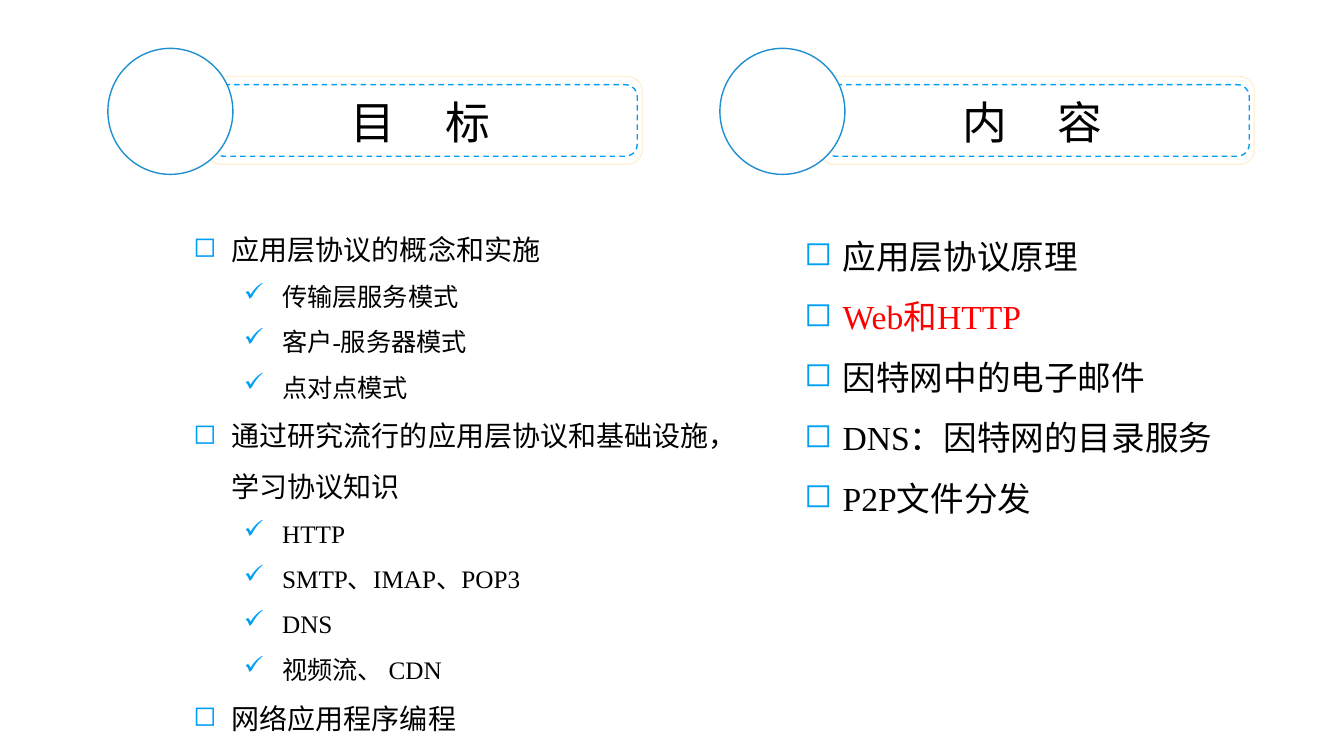
"""Build the slide that sets out the chapter's goals and contents."""
from dataclasses import dataclass

from lxml.etree import SubElement
from pptx import Presentation
from pptx.dml.color import RGBColor
from pptx.enum.dml import MSO_LINE_DASH_STYLE as Dash
from pptx.enum.shapes import MSO_SHAPE as Preset
from pptx.enum.text import PP_ALIGN as Align
from pptx.oxml.ns import qn
from pptx.shapes.autoshape import Shape
from pptx.slide import Slide
from pptx.text.text import TextFrame
from pptx.util import Inches, Pt

COLORS = {
    "text": "000000",
    "highlight": "FF0000",
    "bullet": "009FF6",
    "frame": "FEF1D6",
    "dash": "009FF6",
    "circle": "1F8FD0",
    "white": "FFFFFF",
}
HEADING_FONT = "Noto Sans CJK SC"
BODY_FONT = "Times New Roman"
BULLETS = ("◻", "✓")
LEVEL_MARGINS = (0.38, 0.88)
HANGING = 0.38
HEADING_TRACKING = 14.5


@dataclass(frozen=True)
class Item:
    text: str
    size: int
    level: int = 0
    color: str = "text"


@dataclass(frozen=True)
class Column:
    heading: str
    left: float
    list_left: float
    list_width: float
    list_height: float
    items: tuple[Item, ...]


COLUMNS = (
    Column("目标", 1.07, 1.82, 5.7, 5.33, (
        Item("应用层协议的概念和实施", 20),
        Item("传输层服务模式", 18, 1),
        Item("客户-服务器模式", 18, 1),
        Item("点对点模式", 18, 1),
        Item("通过研究流行的应用层协议和基础设施，学习协议知识", 20),
        Item("HTTP", 18, 1),
        Item("SMTP、IMAP、POP3", 18, 1),
        Item("DNS", 18, 1),
        Item("视频流、 CDN", 18, 1),
        Item("网络应用程序编程", 20),
    )),
    Column("内容", 7.14, 7.88, 4.56, 3.06, (
        Item("应用层协议原理", 24),
        Item("Web和HTTP", 24, color="highlight"),
        Item("因特网中的电子邮件", 24),
        Item("DNS：因特网的目录服务", 24),
        Item("P2P文件分发", 24),
    )),
)


def rgb(name: str) -> RGBColor:
    """Return the named colour."""
    return RGBColor.from_string(COLORS[name])


def add_outline(slide: Slide, preset: Preset, left: float, top: float,
                width: float, height: float, line: str, filled: bool = True) -> Shape:
    """Add a thinly outlined shape, white or see-through."""
    shape = slide.shapes.add_shape(
        preset, Inches(left), Inches(top), Inches(width), Inches(height))
    shape.shadow.inherit = False
    if filled:
        shape.fill.solid()
        shape.fill.fore_color.rgb = rgb("white")
    else:
        shape.fill.background()
    shape.line.color.rgb = rgb(line)
    shape.line.width = Pt(1)
    return shape


def add_text_frame(slide: Slide, left: float, top: float,
                   width: float, height: float) -> TextFrame:
    """Add a wrapping text box and return its frame."""
    box = slide.shapes.add_textbox(
        Inches(left), Inches(top), Inches(width), Inches(height))
    box.text_frame.word_wrap = True
    return box.text_frame


def add_heading(slide: Slide, column: Column) -> None:
    """Draw the framed heading with its circle."""
    left = column.left
    add_outline(slide, Preset.ROUNDED_RECTANGLE, left + 0.98, 0.76, 4.32, 0.87, "frame")
    paragraph = add_text_frame(slide, left + 1.03, 0.89, 4.14, 0.64).paragraphs[0]
    paragraph.alignment = Align.CENTER
    paragraph.font.name = HEADING_FONT
    paragraph.font.size = Pt(32)
    paragraph.font.color.rgb = rgb("text")
    first, last = column.heading
    spaced = paragraph.add_run()
    spaced.text = f"{first} "
    spaced._r.get_or_add_rPr().set("spc", str(int(HEADING_TRACKING * 100)))
    paragraph.add_run().text = last
    border = add_outline(slide, Preset.ROUNDED_RECTANGLE, left + 1.03, 0.84,
                         4.22, 0.71, "dash", filled=False)
    border.line.dash_style = Dash.DASH
    add_outline(slide, Preset.OVAL, left, 0.48, 1.24, 1.25, "circle")


def add_list(slide: Slide, column: Column) -> None:
    """Write the column's bulleted list."""
    frame = add_text_frame(slide, column.list_left, 2.09,
                           column.list_width, column.list_height)
    for index, item in enumerate(column.items):
        paragraph = frame.add_paragraph() if index else frame.paragraphs[0]
        paragraph.text = item.text
        paragraph.level = item.level
        paragraph.line_spacing = 1.5
        properties = paragraph._p.get_or_add_pPr()
        properties.set("marL", str(Inches(LEVEL_MARGINS[item.level])))
        properties.set("indent", str(-Inches(HANGING)))
        bullet_color = SubElement(properties, qn("a:buClr"))
        SubElement(bullet_color, qn("a:srgbClr"), val=COLORS["bullet"])
        SubElement(properties, qn("a:buChar"), char=BULLETS[item.level])
        paragraph.font.name = BODY_FONT
        paragraph.font.size = Pt(item.size)
        paragraph.font.color.rgb = rgb(item.color)


def main() -> None:
    """Build and save the presentation."""
    presentation = Presentation()
    presentation.slide_width = Inches(13.33)
    presentation.slide_height = Inches(7.5)
    slide = presentation.slides.add_slide(presentation.slide_layouts[6])
    for column in COLUMNS:
        add_list(slide, column)
        add_heading(slide, column)
    presentation.save("out.pptx")


if __name__ == "__main__":
    main()
